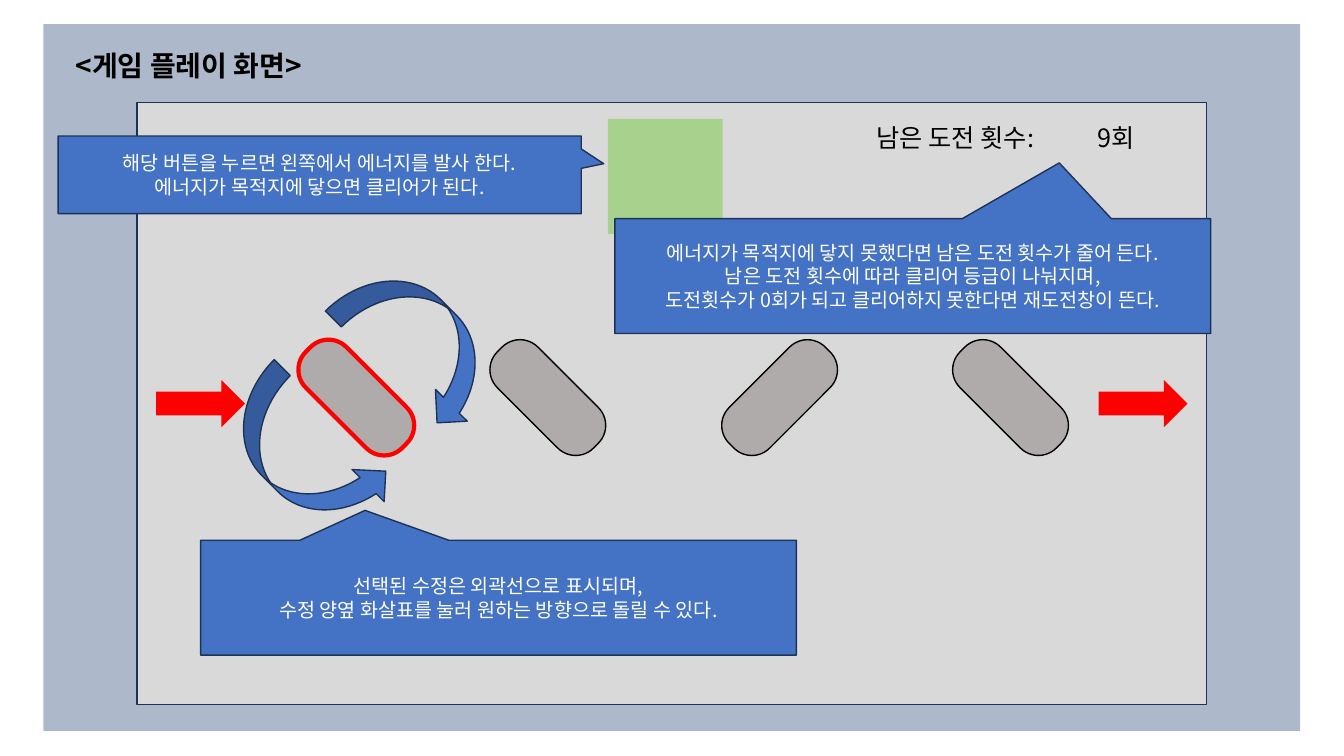
import pptx
import pptx.util
import pptx.dml.color
import pptx.enum.shapes
import pptx.enum.text
import pptx.oxml
import pptx.oxml.ns

Pt = pptx.util.Pt
KIND = pptx.enum.shapes.MSO_SHAPE
ALIGN = pptx.enum.text.PP_ALIGN
ANCHOR = pptx.enum.text.MSO_ANCHOR
FONT = "Noto Sans CJK KR"
BLUE, NAVY, RED, BLACK, WHITE = "4472C4", "1E3256", "FF0000", "000000", "FFFFFF"

TITLE = "<게임 플레이 화면>"
TITLE_BOX = (46.8, 31, 198, 31.5)
CHANCES = "남은 도전 횟수:\t9회"
CHANCES_BOX = (619.2, 83.5, 233.3, 29)
CHANCES_TAB = 157.5

BACKDROP = (31, 17.3, 897.8, 504.7)
STAGE = (97.9, 73.4, 763.9, 429.8)
FIRE_BUTTON = (434.2, 85, 82.1, 82.1)

ENERGY_LEFTS = [111.6, 784.8]
ENERGY_TOP, ENERGY_SIZE = 271.4, (63.4, 33.8)

CRYSTAL_TOP, CRYSTAL_SIZE = 263.5, (97.2, 41)
SELECTED_CRYSTAL = (205.9, 45)
OTHER_CRYSTALS = [(342.7, 45), (508.3, 315), (673.2, 45)]

TURN_ARROWS = [((236.2, 213.1, 128.9, 64.1), False),
               ((154.1, 293, 128.9, 64.8), True)]

ROTATE_HELP = ((143.3, 385.9, 425.5, 82.1), (-0.224, -0.76), [
    "선택된 수정은 외곽선으로 표시되며,",
    "수정 양옆 화살표를 눌러 원하는 방향으로 돌릴 수 있다."])
FIRE_HELP = ((41.5, 97.2, 373.7, 55.4), (0.543, -0.143), [
    "해당 버튼을 누르면 왼쪽에서 에너지를 발사 한다.",
    "에너지가 목적지에 닿으면 클리어가 된다."])
CHANCES_HELP = ((439.2, 156.2, 425.5, 82.1), (0.246, -0.985), [
    "에너지가 목적지에 닿지 못했다면 남은 도전 횟수가 줄어 든다.",
    "남은 도전 횟수에 따라 클리어 등급이 나눠지며,",
    "도전횟수가 0회가 되고 클리어하지 못한다면 재도전창이 뜬다."])


def color(value):
    return pptx.dml.color.RGBColor.from_string(value)


def add_part(kind, box, fill, line=None, width=1, rotation=0):
    part = slide.shapes.add_shape(kind, *map(Pt, box))
    part.shadow.inherit = False
    part.fill.solid()
    part.fill.fore_color.rgb = color(fill)
    if line:
        part.line.color.rgb = color(line)
        part.line.width = Pt(width)
    else:
        part.line.fill.background()
    part.rotation = rotation
    return part


def add_run(paragraph, text, size, ink, bold=False):
    run = paragraph.add_run()
    run.text = text
    run.font.size = Pt(size)
    run.font.bold = bold
    run.font.name = FONT
    run.font.color.rgb = color(ink)
    east_asian = pptx.oxml.parse_xml(
        f'<a:ea {pptx.oxml.ns.nsdecls("a")} typeface="{FONT}"/>')
    run.font.fill
    run.font._element.find(pptx.oxml.ns.qn("a:latin")).addnext(east_asian)


def add_crystal(left, rotation, line, width):
    crystal = add_part(KIND.ROUNDED_RECTANGLE, (left, CRYSTAL_TOP, *CRYSTAL_SIZE),
                       "AFABAB", line, width, rotation)
    crystal.adjustments[0] = 0.442


def add_help(box, pointer, lines):
    callout = add_part(KIND.RECTANGULAR_CALLOUT, box, BLUE, NAVY)
    for index, value in enumerate(pointer):
        callout.adjustments[index] = value
    frame = callout.text_frame
    frame.word_wrap = True
    frame.vertical_anchor = ANCHOR.MIDDLE
    for index, text in enumerate(lines):
        paragraph = frame.add_paragraph() if index else frame.paragraphs[0]
        paragraph.alignment = ALIGN.CENTER
        add_run(paragraph, text, 14, WHITE)


presentation = pptx.Presentation()
presentation.slide_width = Pt(960)
presentation.slide_height = Pt(540)
slide = presentation.slides.add_slide(presentation.slide_layouts[5])

add_part(KIND.RECTANGLE, BACKDROP, "ADB9CA")
add_part(KIND.RECTANGLE, STAGE, "D9D9D9", NAVY)
for left in ENERGY_LEFTS:
    add_part(KIND.RIGHT_ARROW, (left, ENERGY_TOP, *ENERGY_SIZE), RED)
add_crystal(*SELECTED_CRYSTAL, RED, 3)

title = slide.shapes.title
title.left, title.top, title.width, title.height = map(Pt, TITLE_BOX)
title.element.getparent().append(title.element)
title.text_frame.auto_size = pptx.enum.text.MSO_AUTO_SIZE.NONE
title.text_frame.word_wrap = False
title.text_frame.vertical_anchor = ANCHOR.TOP
heading = title.text_frame.paragraphs[0]
heading.alignment = ALIGN.LEFT
heading.line_spacing = 1.0
add_run(heading, TITLE, 20, BLACK, True)

for left, rotation in OTHER_CRYSTALS:
    add_crystal(left, rotation, BLACK, 1)
add_part(KIND.RECTANGLE, FIRE_BUTTON, "A9D18E")
for box, flipped in TURN_ARROWS:
    turn = add_part(KIND.CURVED_DOWN_ARROW, box, BLUE, NAVY, rotation=45)
    if flipped:
        turn.element.spPr.find(pptx.oxml.ns.qn("a:xfrm")).set("flipV", "1")
add_help(*ROTATE_HELP)

chances = slide.shapes.add_textbox(*map(Pt, CHANCES_BOX))
chances.text_frame.word_wrap = True
counter = chances.text_frame.paragraphs[0]
counter._p.get_or_add_pPr().append(pptx.oxml.parse_xml(
    f'<a:tabLst {pptx.oxml.ns.nsdecls("a")}>'
    f'<a:tab pos="{Pt(CHANCES_TAB)}" algn="l"/></a:tabLst>'))
add_run(counter, CHANCES, 18, BLACK)

add_help(*FIRE_HELP)
add_help(*CHANCES_HELP)

presentation.save("out.pptx")
